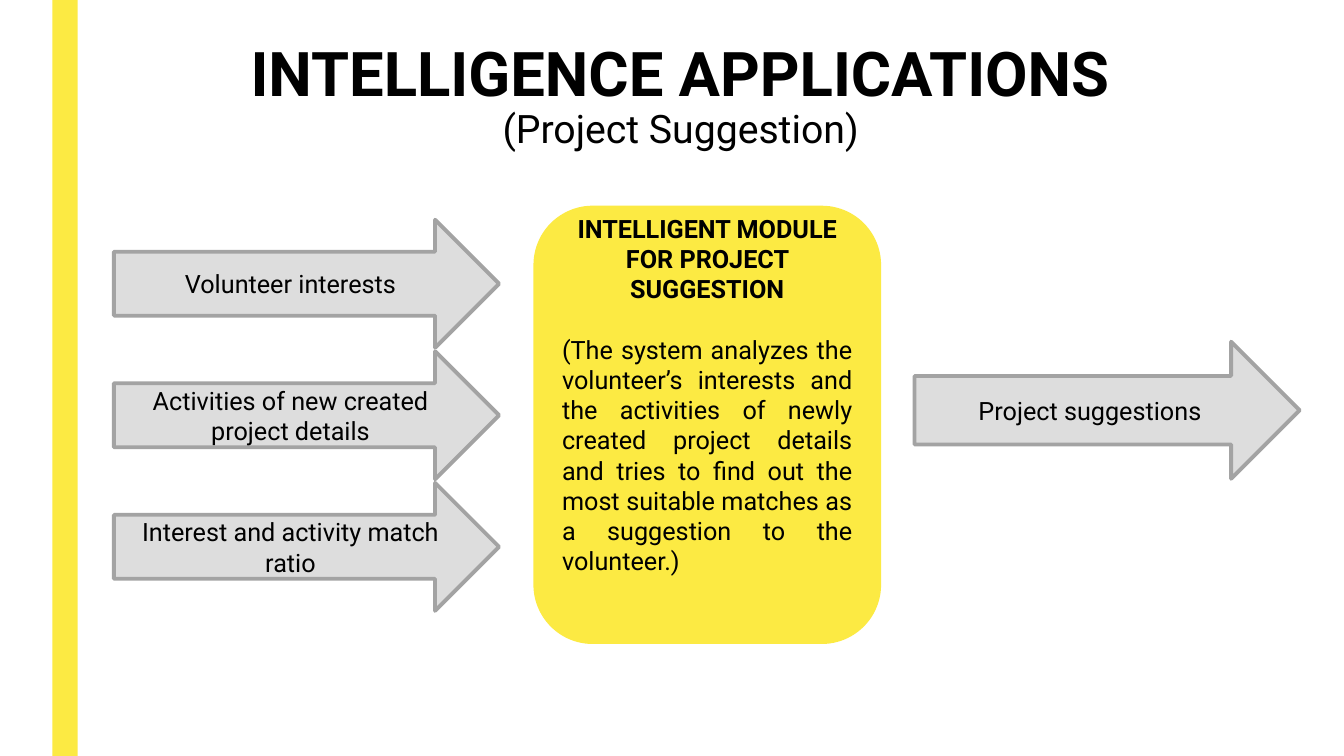
from pptx import Presentation
from pptx.dml.color import RGBColor
from pptx.enum.shapes import MSO_SHAPE
from pptx.enum.text import MSO_ANCHOR, MSO_AUTO_SIZE, PP_ALIGN
from pptx.util import Inches, Pt

RECTANGLE, ROUNDED = MSO_SHAPE.RECTANGLE, MSO_SHAPE.ROUNDED_RECTANGLE
ARROW = MSO_SHAPE.RIGHT_ARROW
TOP, MIDDLE = MSO_ANCHOR.TOP, MSO_ANCHOR.MIDDLE
CENTER, JUSTIFY = PP_ALIGN.CENTER, PP_ALIGN.JUSTIFY

YELLOW = RGBColor(0xFC, 0xEA, 0x43)
LIGHT_GRAY = RGBColor(0xDD, 0xDD, 0xDD)
GRAY = RGBColor(0xA3, 0xA3, 0xA3)
BLACK = RGBColor(0, 0, 0)
FONT = "Roboto"

# Content
TITLE = "INTELLIGENCE APPLICATIONS"
SUBTITLE = "(Project Suggestion)"
INPUTS = [
    "Volunteer interests",
    "Activities of new created project details",
    "Interest and activity match ratio",
]
MODULE_NAME = "INTELLIGENT MODULE FOR PROJECT SUGGESTION"
MODULE_TEXT = (
    "(The system analyzes the volunteer’s interests and the activities of "
    "newly created project details and tries to find out the most suitable "
    "matches as a suggestion to the volunteer.)"
)
OUTPUT = "Project suggestions"

# Layout in inches
ARROW_WIDTH = 3.82
INPUT_LEFT, INPUT_TOP, INPUT_HEIGHT, INPUT_STEP = 1.13, 2.18, 1.27, 1.305
OUTPUT_BOX = (9.07, 3.39, ARROW_WIDTH, 1.36)
MODULE_BOX = (5.31, 2.06, 3.41, 4.31)


def add_run(paragraph, text, size=18, bold=False):
    run = paragraph.add_run()
    run.text = text
    run.font.name = FONT
    run.font.size = Pt(size)
    run.font.bold = bold
    run.font.color.rgb = BLACK


def add_box(slide, kind, box, fill, line=None):
    shape = slide.shapes.add_shape(kind, *map(Inches, box))
    shape.shadow.inherit = False
    shape.fill.solid()
    shape.fill.fore_color.rgb = fill
    if line is None:
        shape.line.fill.background()
    else:
        shape.line.color.rgb = line
        shape.line.width = Pt(2.75)
    shape.text_frame.word_wrap = True
    shape.text_frame.vertical_anchor = MIDDLE
    return shape


def add_arrow(slide, box, label):
    arrow = add_box(slide, ARROW, box, LIGHT_GRAY, GRAY)
    paragraph = arrow.text_frame.paragraphs[0]
    paragraph.alignment = CENTER
    add_run(paragraph, label)


def add_title(slide):
    title = slide.shapes.title
    title.left, title.top = Inches(1.5), Inches(0.39)
    title.width, title.height = Inches(10.5), Inches(1.62)
    frame = title.text_frame
    frame.word_wrap = True
    frame.auto_size = MSO_AUTO_SIZE.NONE
    frame.vertical_anchor = TOP
    paragraph = frame.paragraphs[0]
    paragraph.alignment = CENTER
    paragraph.line_spacing = 0.89
    add_run(paragraph, TITLE, 44, True)
    paragraph.add_line_break()
    add_run(paragraph, SUBTITLE, 28)


def add_module(slide):
    frame = add_box(slide, ROUNDED, MODULE_BOX, YELLOW, YELLOW).text_frame
    frame.margin_bottom = Inches(0.65)  # lifts the text above the middle
    heading = frame.paragraphs[0]
    heading.alignment = CENTER
    add_run(heading, MODULE_NAME, bold=True)
    description = frame.add_paragraph()
    description.alignment = JUSTIFY
    description.space_before = Pt(21.5)
    add_run(description, MODULE_TEXT)


def main():
    presentation = Presentation()
    presentation.slide_width = Inches(13.33)
    presentation.slide_height = Inches(7.5)
    slide = presentation.slides.add_slide(presentation.slide_layouts[5])

    # Side bar and title
    add_box(slide, RECTANGLE, (0.52, 0, 0.25, 7.5), YELLOW)
    add_title(slide)

    # Inputs, module and output
    for index, label in enumerate(INPUTS):
        top = INPUT_TOP + index * INPUT_STEP
        add_arrow(slide, (INPUT_LEFT, top, ARROW_WIDTH, INPUT_HEIGHT), label)
    add_module(slide)
    add_arrow(slide, OUTPUT_BOX, OUTPUT)

    presentation.save("out.pptx")


if __name__ == "__main__":
    main()
